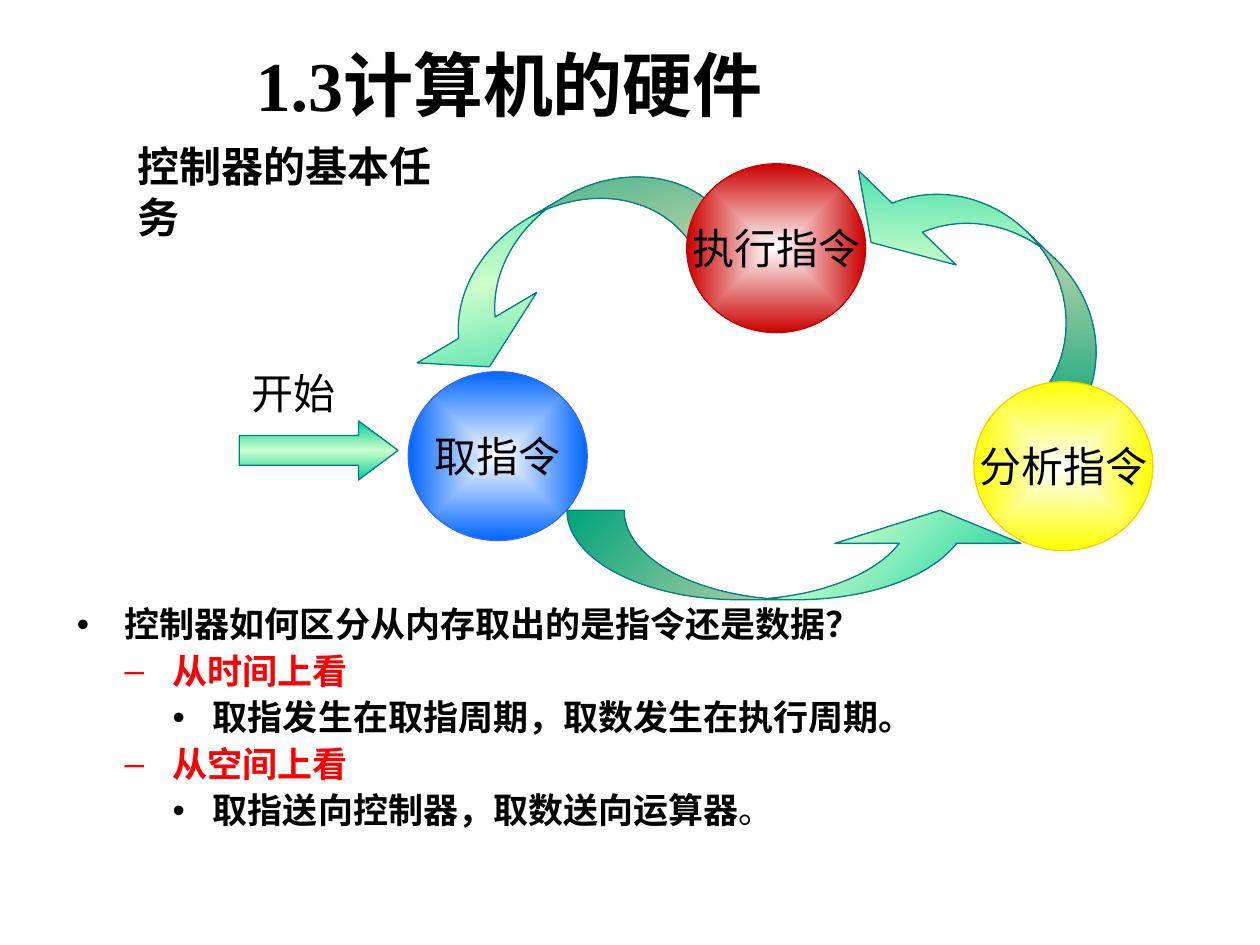
from pptx import Presentation
from pptx.dml.color import RGBColor
from pptx.enum.shapes import MSO_SHAPE
from pptx.enum.text import MSO_ANCHOR, MSO_AUTO_SIZE, PP_ALIGN
from pptx.oxml import parse_xml
from pptx.oxml.ns import nsdecls
from pptx.util import Inches, Pt

OVAL, RIGHT, CURVE = MSO_SHAPE.OVAL, MSO_SHAPE.RIGHT_ARROW, MSO_SHAPE.CURVED_UP_ARROW
TOP, MID = MSO_ANCHOR.TOP, MSO_ANCHOR.MIDDLE
LEFT, CENTER = PP_ALIGN.LEFT, PP_ALIGN.CENTER
NO_FIT = MSO_AUTO_SIZE.NONE

BLACK = RGBColor(0, 0, 0)
WHITE = RGBColor(255, 255, 255)
RED = RGBColor(255, 0, 0)
CRIMSON = RGBColor(204, 0, 0)
BLUE = RGBColor(0, 102, 255)
AZURE = RGBColor(51, 102, 255)
YELLOW = RGBColor(255, 255, 0)
GOLD = RGBColor(255, 204, 0)
GREEN = RGBColor(0, 204, 153)
PALE = RGBColor(204, 255, 204)
TEAL = RGBColor(0, 128, 128)

SERIF = "Times New Roman"
HEAD = {"name": SERIF, "size": Pt(40), "bold": True}
SUB = {"name": SERIF, "size": Pt(24), "bold": True}
LABEL = {"name": SERIF, "size": Pt(24), "bold": False}
BODY = {"name": "Calibri", "size": Pt(20), "bold": True}

TITLE = ("1.3计算机的硬件", (1.93, 0.28, 4.49, 0.77))
NOTES = [
    ("控制器的基本任务", (0.99, 1.07, 2.86, 0.5), SUB),
    ("开始", (1.9, 2.87, 1.18, 0.5), LABEL),
]
ARROWS = [
    (RIGHT, (1.9, 3.34, 1.26, 0.47), 0, (0.5, 0.67), 90),
    (CURVE, (3, 1.69, 2.76, 0.86), 149.5, (0.39, 1.28, 0.37), 256),
    (CURVE, (6.47, 1.69, 2.68, 0.92), 224, (0.36, 1.17, 0.37), 91),
    (CURVE, (4.5, 4.05, 3.7, 0.71), 0, (0.64, 2.08, 0.37), 45),
]
STEPS = [
    ("取指令", (3.24, 2.95), BLUE, AZURE),
    ("执行指令", (5.45, 1.3), CRIMSON, CRIMSON),
    ("分析指令", (7.73, 3.03), YELLOW, GOLD),
]
STEP_SIZE = (1.42, 1.34)
BODY_BOX = (0.51, 4.77, 8.23, 2.41)
POINTS = [
    (0, ["控制器如何区分从内存取出的是指令还是数据？"]),
    (1, ["从时间上看"]),
    (2, ["取指发生在取指周期，取数发生在执行周期。"]),
    (1, ["从空间上看"]),
    (2, ["取指送向控制器，取数送向运算器", "。"]),
]
LEVELS = [(0.38, 0.38, "•", BLACK), (0.76, 0.38, "–", RED), (1.08, 0.32, "•", BLACK)]


def style(font, form, ink=BLACK):
    for key, val in form.items():
        setattr(font, key, val)
    font.color.rgb = ink


def place(shape, box):
    for key, val in zip(("left", "top", "width", "height"), box):
        setattr(shape, key, Inches(val))


def write(shape, text, form, align=LEFT, anchor=TOP, wrap=True):
    frame = shape.text_frame
    frame.word_wrap, frame.auto_size = wrap, NO_FIT
    frame.vertical_anchor = anchor
    para = frame.paragraphs[0]
    para.alignment = align
    run = para.add_run()
    run.text = text
    style(run.font, form)


def blend(shape, stops, way):
    marks = "".join(
        f'<a:gs pos="{pos * 1000}"><a:srgbClr val="{ink}"/></a:gs>' for pos, ink in stops
    )
    shape._element.spPr.insert(2, parse_xml(
        f'<a:gradFill {nsdecls("a")} rotWithShape="0">'
        f"<a:gsLst>{marks}</a:gsLst>{way}</a:gradFill>"
    ))


def draw(kind, box, stops, way, edge):
    shape = slide.shapes.add_shape(kind, *map(Inches, box))
    shape.shadow.inherit = False
    blend(shape, stops, way)
    shape.line.color.rgb = edge
    shape.line.width = Pt(0.75)
    return shape


def arrow(kind, box, turn, bends, angle):
    way = f'<a:lin ang="{angle * 60000}" scaled="1"/>'
    shape = draw(kind, box, [(0, GREEN), (50, PALE), (100, GREEN)], way, TEAL)
    shape.rotation = turn
    for num, bend in enumerate(bends):
        shape.adjustments[num] = bend


def step(text, spot, fill, edge):
    way = '<a:path path="rect"><a:fillToRect l="50000" t="50000" r="50000" b="50000"/></a:path>'
    shape = draw(OVAL, spot + STEP_SIZE, [(0, WHITE), (100, fill)], way, edge)
    write(shape, text, LABEL, CENTER, MID, False)


def bullet(para, level):
    left, hang, mark, ink = LEVELS[level]
    props = para._p.get_or_add_pPr()
    props.set("marL", str(Inches(left)))
    props.set("indent", str(-Inches(hang)))
    props.append(parse_xml(
        f'<a:buClr {nsdecls("a")}><a:srgbClr val="{ink}"/></a:buClr>'
    ))
    props.append(parse_xml(f'<a:buChar {nsdecls("a")} char="{mark}"/>'))
    return ink


def fill_list(shape):
    place(shape, BODY_BOX)
    frame = shape.text_frame
    frame.word_wrap, frame.auto_size = True, NO_FIT
    for num, (level, parts) in enumerate(POINTS):
        para = frame.add_paragraph() if num else frame.paragraphs[0]
        para.level = level
        ink = bullet(para, level)
        para.line_spacing = 0.9
        para.space_before = Pt(5 if num else 0)
        for rank, part in enumerate(parts):
            run = para.add_run()
            run.text = part
            style(run.font, {**BODY, "bold": rank == 0}, ink)


deck = Presentation()
deck.slide_width, deck.slide_height = Inches(10), Inches(7.5)
slide = deck.slides.add_slide(deck.slide_layouts[1])
title, body = slide.placeholders
place(title, TITLE[1])
write(title, TITLE[0], HEAD)
for text, box, form in NOTES:
    write(slide.shapes.add_textbox(*map(Inches, box)), text, form)
start, *turns = ARROWS
arrow(*start)
first, second, third = STEPS
step(*first)
for item in turns[:2]:
    arrow(*item)
step(*second)
arrow(*turns[2])
step(*third)
fill_list(body)
deck.save("out.pptx")
